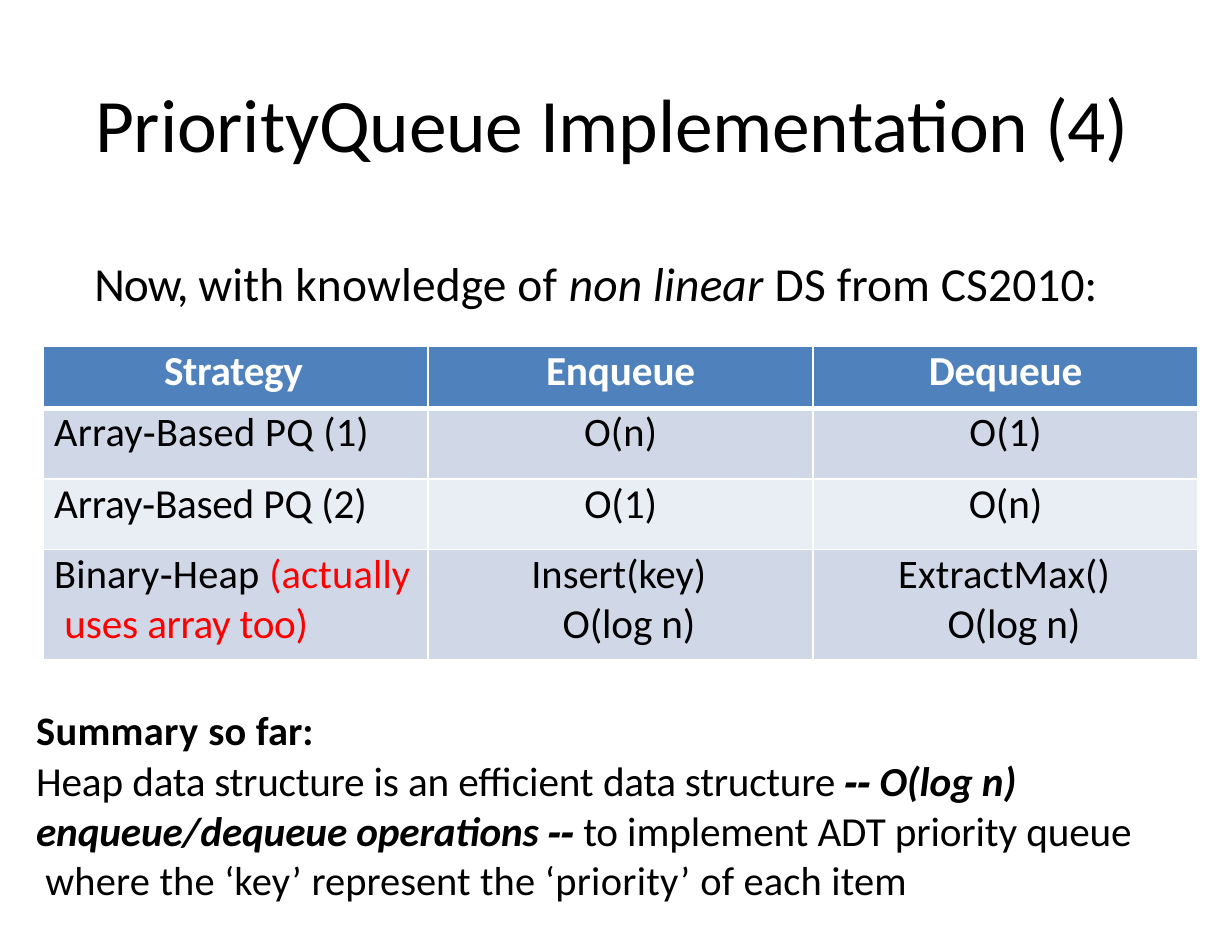
from dataclasses import dataclass

from lxml.etree import SubElement
from pptx import Presentation
from pptx.dml.color import RGBColor
from pptx.enum.text import MSO_ANCHOR, PP_ALIGN
from pptx.oxml.ns import qn
from pptx.slide import Slide
from pptx.table import _Cell
from pptx.text.text import TextFrame
from pptx.util import Cm, Pt


@dataclass(frozen=True)
class Theme:
    font: str = "Calibri"
    text: str = "000000"
    light: str = "FFFFFF"
    accent: str = "FF0000"
    header: str = "4F81BD"
    band_dark: str = "D0D8E8"
    band_light: str = "E9EDF4"
    title: float = 48.5
    intro: float = 30.5
    body: float = 26.5
    body_small: float = 26
    rule: float = 1.1
    header_rule: float = 3.3


THEME = Theme()


@dataclass(frozen=True)
class Span:
    text: str
    size: float = THEME.body
    tracking: float = -0.1
    bold: bool = False
    italic: bool = False
    color: str = THEME.text
    new_line: bool = False


@dataclass(frozen=True)
class Block:
    """A paragraph; indents are in cm, spacing in points."""
    spans: tuple[Span, ...]
    left: float = 0
    first: float = 0
    before: float = 0
    leading: float | None = None
    align: PP_ALIGN = PP_ALIGN.LEFT


@dataclass(frozen=True)
class Row:
    height: float
    fill: str
    cells: tuple[Block, ...]


def write_blocks(frame: TextFrame, blocks: tuple[Block, ...]) -> None:
    for index, block in enumerate(blocks):
        paragraph = frame.add_paragraph() if index else frame.paragraphs[0]
        paragraph.alignment = block.align
        paragraph.space_before = Pt(block.before)
        if block.leading:
            paragraph.line_spacing = Pt(block.leading)
        properties = paragraph._p.get_or_add_pPr()
        properties.set("marL", str(Cm(block.left)))
        properties.set("indent", str(Cm(block.first)))
        for span in block.spans:
            if span.new_line:
                paragraph.add_line_break()
            run = paragraph.add_run()
            run.text = span.text
            font = run.font
            font.name, font.size = THEME.font, Pt(span.size)
            font.bold, font.italic = span.bold, span.italic
            font.color.rgb = RGBColor.from_string(span.color)
            run._r.get_or_add_rPr().set("spc", str(round(span.tracking * 100)))


def add_text(slide: Slide, left: float, top: float, width: float, height: float,
             *blocks: Block) -> None:
    box = slide.shapes.add_textbox(Cm(left), Cm(top), Cm(width), Cm(height))
    frame = box.text_frame
    frame.margin_left = frame.margin_right = frame.margin_top = frame.margin_bottom = 0
    frame.word_wrap = True
    write_blocks(frame, blocks)


def set_borders(cell: _Cell, top: float, bottom: float) -> None:
    properties = cell._tc.get_or_add_tcPr()
    widths = {"a:lnL": THEME.rule, "a:lnR": THEME.rule, "a:lnT": top, "a:lnB": bottom}
    for tag, width in widths.items():
        line = SubElement(properties, qn(tag), w=str(Pt(width)))
        fill = SubElement(line, qn("a:solidFill"))
        SubElement(fill, qn("a:srgbClr"), val=THEME.light)


def add_strategy_table(slide: Slide, left: float, top: float, column_width: float,
                       rows: tuple[Row, ...]) -> None:
    columns = len(rows[0].cells)
    table = slide.shapes.add_table(
        len(rows), columns, Cm(left), Cm(top), Cm(column_width * columns),
        Cm(sum(row.height for row in rows))).table
    for column in table.columns:
        column.width = Cm(column_width)
    for r, row in enumerate(rows):
        table.rows[r].height = Cm(row.height)
        for c, block in enumerate(row.cells):
            cell = table.cell(r, c)
            cell.margin_left = cell.margin_right = cell.margin_top = cell.margin_bottom = 0
            cell.vertical_anchor = MSO_ANCHOR.TOP
            set_borders(cell, THEME.header_rule if r == 1 else THEME.rule,
                        THEME.header_rule if r == 0 else THEME.rule)
            cell.fill.solid()
            cell.fill.fore_color.rgb = RGBColor.from_string(row.fill)
            write_blocks(cell.text_frame, (block,))


def heading(text: str, tracking: float = -0.1) -> Span:
    return Span(text, tracking=tracking, bold=True, color=THEME.light)


def centred(span: Span, before: float) -> Block:
    return Block((span,), before=before, align=PP_ALIGN.CENTER)


def small(text: str, tracking: float = 0.1, **style) -> Span:
    return Span(text, THEME.body_small, tracking, **style)


def heap_cost(operation: str, tracking: float, first: float) -> Block:
    return Block((small(operation, tracking), Span("O(log n)", new_line=True)),
                 left=3.05, first=first, before=2.1)


def intro(text: str, tracking: float = 0.1, italic: bool = False) -> Span:
    return Span(text, THEME.intro, tracking, italic=italic)


STRATEGIES = (
    Row(1.4, THEME.header, (
        Block((heading("Strategy", -0.2),), left=2.74, before=1.6),
        centred(heading("Enqueue"), 1.6),
        centred(heading("Dequeue"), 1.6))),
    Row(1.6, THEME.band_dark, (
        Block((small("Array‐Based "), small("PQ ", 0.2), small("(1)")), left=0.25, before=1),
        centred(small("O(n)"), 1),
        centred(small("O(1)"), 1))),
    Row(1.6, THEME.band_light, (
        Block((Span("Array‐Based ", tracking=-0.2), Span("PQ (2)")), left=0.25, before=1.6),
        centred(Span("O(1)"), 1.6),
        centred(Span("O(n)"), 1.6))),
    Row(2.51, THEME.band_dark, (
        Block((small("Binary‐Heap "), small("(actually", color=THEME.accent),
               Span("uses ", color=THEME.accent, new_line=True),
               Span("array ", tracking=-0.3, color=THEME.accent),
               Span("too)", tracking=-0.2, color=THEME.accent)),
              left=0.48, first=-0.23, before=2.1),
        heap_cost("Insert(key)", 0, -0.71),
        heap_cost("ExtractMax()", 0.1, -1.12))),
)

SUMMARY = (
    Block((small("Summary ", 0.2, bold=True), small("so ", bold=True),
           small("far:", 0, bold=True)), left=0.03, leading=31.2),
    Block((Span("Heap "), Span("data structure ", tracking=-0.2),
           Span("is an efficient "), Span("data structure ", tracking=-0.2),
           Span("‐‐ O(log n)", bold=True, italic=True),
           Span("enqueue/dequeue operations ‐‐ ", bold=True, italic=True, new_line=True),
           Span("to ", tracking=-0.2), Span("implement "),
           Span("ADT ", tracking=-0.2), Span("priority queue"),
           small(" where the ‘key’ ", new_line=True), small("represent ", 0),
           small("the "), small("‘priority’ ", 0.2), small("of each item")),
          left=0.03, before=1.1, leading=31.7),
)


def main() -> None:
    deck = Presentation()
    deck.slide_width, deck.slide_height = Cm(27.94), Cm(21.59)
    slide = deck.slides.add_slide(deck.slide_layouts[6])
    add_text(slide, 2.13, 1.75, 23.65, 2.18, Block((
        Span("PriorityQueue ", THEME.title), Span("Implementation ", THEME.title, -0.2),
        Span("(4)", THEME.title)), left=0.03))
    add_strategy_table(slide, 0.98, 7.86, 8.73, STRATEGIES)
    add_text(slide, 0.79, 16, 25.2, 4.55, *SUMMARY)
    add_text(slide, 2.11, 5.77, 23, 1.37, Block((
        intro("Now, ", -0.6), intro("with knowledge of "), intro("non linear ", italic=True),
        intro("DS "), intro("from ", 0), intro("CS2010:")), left=0.03))
    deck.save("out.pptx")


if __name__ == "__main__":
    main()
